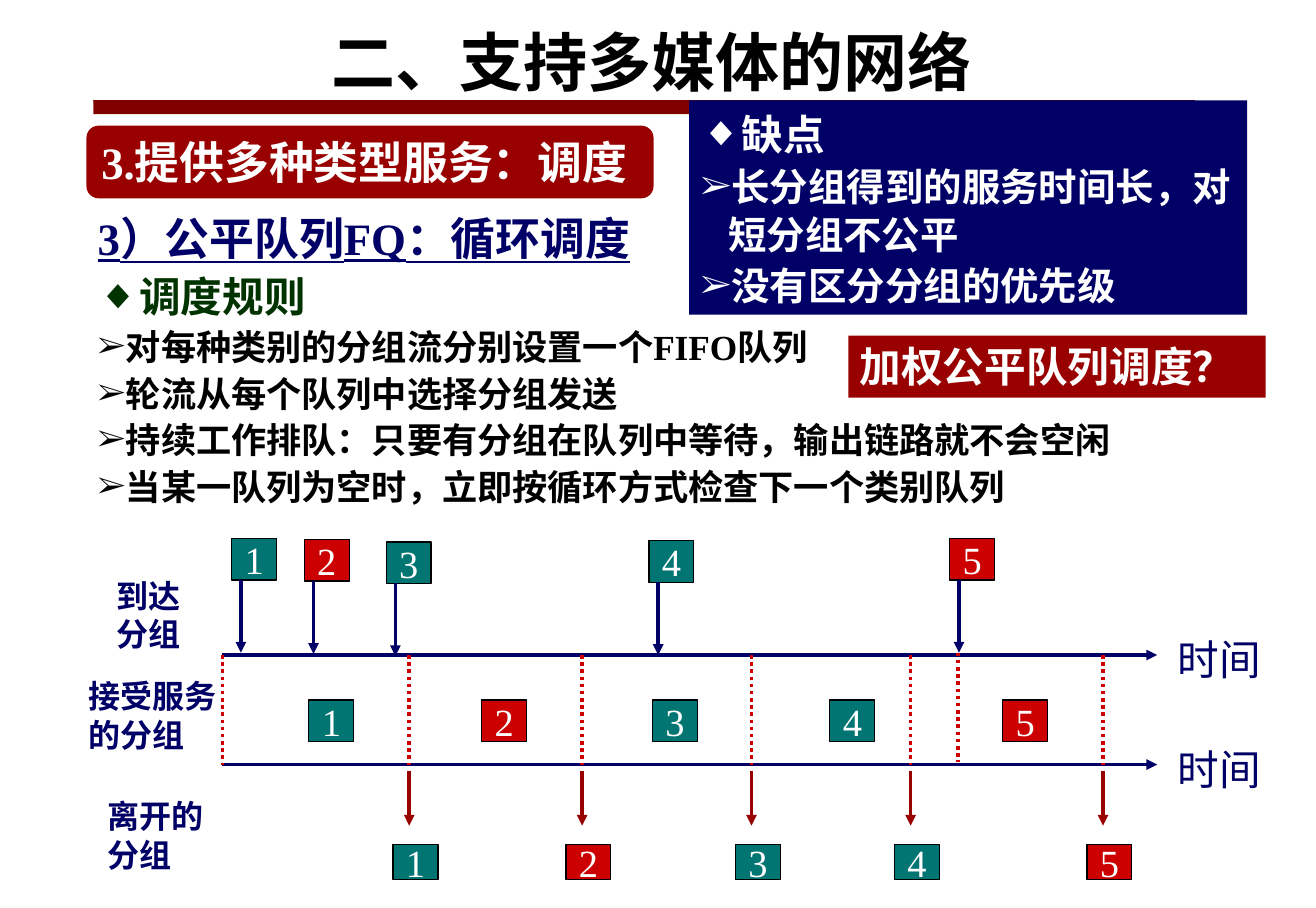
from lxml import etree
from pptx import Presentation
from pptx.dml.color import RGBColor
from pptx.enum.dml import MSO_LINE
from pptx.enum.shapes import MSO_CONNECTOR, MSO_SHAPE
from pptx.enum.text import MSO_ANCHOR, MSO_AUTO_SIZE, PP_ALIGN
from pptx.oxml.ns import qn
from pptx.util import Cm, Inches, Pt

RECT = MSO_SHAPE.RECTANGLE
ROUNDED = MSO_SHAPE.ROUNDED_RECTANGLE
STRAIGHT = MSO_CONNECTOR.STRAIGHT
DOTTED = MSO_LINE.ROUND_DOT
TOP, MIDDLE = MSO_ANCHOR.TOP, MSO_ANCHOR.MIDDLE
LEFT, CENTER = PP_ALIGN.LEFT, PP_ALIGN.CENTER
NO_FIT = MSO_AUTO_SIZE.NONE

NAVY, MAROON, RED, TEAL = "000066", "990000", "CC0000", "007572"
WHITE, BLACK, GREEN, BAR = "FFFFFF", "000000", "003300", "800000"
SERIF, SANS = "Times New Roman", "Arial"

ARRIVALS = [(1, 2.01, 4.67), (2, 2.64, 4.68), (3, 3.35, 4.7),
            (4, 5.63, 4.69), (5, 8.24, 4.67)]
SERVED = [2.68, 4.18, 5.66, 7.2, 8.7]
DEPARTURES = [3.55, 5.05, 6.52, 7.9, 9.57]
AXES = [5.68, 6.63]
AXIS_START, AXIS_END = 1.93, 10.04
PACKET_WIDTH, PACKET_HEIGHT = 0.39, 0.36
BULLET_SIZES = {"◆": "100000", "➢": "87000"}
RULES = ["对每种类别的分组流分别设置一个FIFO队列",
         "轮流从每个队列中选择分组发送",
         "持续工作排队：只要有分组在队列中等待，输出链路就不会空闲",
         "当某一队列为空时，立即按循环方式检查下一个类别队列"]
DRAWBACKS = ["长分组得到的服务时间长，对短分组不公平", "没有区分分组的优先级"]
ROW_LABELS = [("到达分组", 0.91, 4.95, 0.86), ("接受服务的分组", 0.67, 5.82, 1.49),
              ("离开的分组", 0.83, 6.86, 1.18)]


def rgb(value):
    return RGBColor.from_string(value)


def set_bullet(p, char, color):
    pPr = p._p.get_or_add_pPr()
    pPr.set("marL", str(Inches(0.24)))
    pPr.set("indent", str(-Inches(0.24)))
    clr = etree.SubElement(pPr, qn("a:buClr"))
    etree.SubElement(clr, qn("a:srgbClr")).set("val", color)
    etree.SubElement(pPr, qn("a:buSzPct")).set("val", BULLET_SIZES[char])
    etree.SubElement(pPr, qn("a:buFont")).set("typeface", SERIF)
    etree.SubElement(pPr, qn("a:buChar")).set("char", char)


def add_text(p, text, size, color, font=SERIF, bold=True, underline=False,
             align=LEFT, before=0, spacing=None, bullet=None):
    p.alignment = align
    p.space_before = Pt(before)
    if spacing:
        p.line_spacing = spacing
    if bullet:
        set_bullet(p, bullet, color)
    r = p.add_run()
    r.text = text
    r.font.size = Pt(size)
    r.font.name = font
    r.font.bold = bold
    r.font.underline = underline
    r.font.color.rgb = rgb(color)


def frame(sp, wrap=True, anchor=TOP):
    tf = sp.text_frame
    tf.auto_size = NO_FIT
    tf.word_wrap = wrap
    tf.vertical_anchor = anchor
    return tf


def add_label(s, text, x, y, w, h, size, color, **fmt):
    sp = s.shapes.add_textbox(Inches(x), Inches(y), Inches(w), Inches(h))
    add_text(frame(sp).paragraphs[0], text, size, color, **fmt)


def add_block(s, x, y, w, h, fill, kind=RECT, outline=None):
    sp = s.shapes.add_shape(kind, Inches(x), Inches(y), Inches(w), Inches(h))
    sp.shadow.inherit = False
    sp.fill.solid()
    sp.fill.fore_color.rgb = rgb(fill)
    if outline:
        sp.line.color.rgb = rgb(outline)
        sp.line.width = Pt(0.75)
    else:
        sp.line.fill.background()
    return sp


def add_line(s, x1, y1, x2, y2, color, width=2.25, dash=None, arrow=False):
    line = s.shapes.add_connector(STRAIGHT, Inches(x1), Inches(y1), Inches(x2), Inches(y2))
    line.line.color.rgb = rgb(color)
    line.line.width = Pt(width)
    if dash:
        line.line.dash_style = dash
    if arrow:
        ln = line._element.spPr.find(qn("a:ln"))
        etree.SubElement(ln, qn("a:tailEnd")).set("type", "triangle")
    etree.SubElement(line._element.spPr, qn("a:effectLst"))


def add_packet(s, number, x, y, h=PACKET_HEIGHT):
    fill = RED if number in (2, 5) else TEAL
    sp = add_block(s, x, y, PACKET_WIDTH, h, fill, outline=BLACK)
    p = frame(sp, wrap=False, anchor=MIDDLE).paragraphs[0]
    add_text(p, str(number), 24, WHITE, bold=False, align=CENTER)


def add_bullets(tf, heading, items, heading_color, item_color, size, before):
    add_text(tf.paragraphs[0], heading, 26, heading_color, before=1.6, spacing=1.05, bullet="◆")
    for item in items:
        add_text(tf.add_paragraph(), item, size, item_color,
                 before=before, spacing=1.05, bullet="➢")


def add_title(s):
    title = s.shapes.title
    title.left, title.top = Inches(0.6), Inches(-0.03)
    title.width, title.height = Inches(10.1), Inches(1.11)
    p = frame(title, anchor=MIDDLE).paragraphs[0]
    add_text(p, "二、支持多媒体的网络", 40, BLACK, align=CENTER)
    add_block(s, 0.81, 0.87, 5.59, 0.12, BAR)
    add_line(s, 0.81, 0.87, 10.37, 0.87, BAR, width=0.75)


def add_rules(s):
    add_label(s, "3）公平队列FQ：循环调度", 0.75, 1.73, 10.24, 0.62, 28, NAVY,
              underline=True, before=7, spacing=1.1)
    rules = s.shapes.add_textbox(Inches(0.75), Inches(2.28), Inches(10), Inches(2.17))
    add_bullets(frame(rules), "调度规则", RULES, GREEN, BLACK, 22, 1.4)


def add_timeline(s):
    for text, x, y, w in ROW_LABELS:
        add_label(s, text, x, y, w, 0.77, 20, NAVY, font=SANS, before=12.5)
    for y in AXES:
        add_line(s, AXIS_START, y, AXIS_END, y, NAVY, arrow=True)
        add_label(s, "时间", 10.12, y - 0.23, 1.3, 0.54, 26, NAVY,
                  font=SANS, bold=False, before=16.2)
    for number, x, y in ARRIVALS:
        add_packet(s, number, x, y)
        add_line(s, x + 0.08, y + PACKET_HEIGHT, x + 0.08, y + 0.99, NAVY, arrow=True)
    for x in [AXIS_START, *DEPARTURES]:
        add_line(s, x, AXES[0], x, AXES[1], RED, dash=DOTTED)
    add_line(s, 8.31, 5.66, 8.31, 6.61, RED, dash=DOTTED)
    for number, (served, left) in enumerate(zip(SERVED, DEPARTURES), 1):
        add_packet(s, number, served, 6.07)
        add_packet(s, number, left - 0.14, 7.32, h=0.31)
        add_line(s, left, 6.69, left, 7.16, MAROON, arrow=True)


def add_callouts(s):
    drawbacks = add_block(s, 5.98, 0.87, 4.84, 1.86, NAVY)
    add_bullets(frame(drawbacks), "缺点", DRAWBACKS, WHITE, WHITE, 24, 1.5)
    question = add_block(s, 7.36, 2.91, 3.62, 0.54, MAROON)
    add_text(frame(question).paragraphs[0], "加权公平队列调度？", 26, WHITE,
             font=SANS, before=16.2)
    section = add_block(s, 0.75, 1.09, 4.92, 0.63, MAROON, kind=ROUNDED)
    add_text(frame(section, wrap=False, anchor=MIDDLE).paragraphs[0],
             "3.提供多种类型服务：调度", 28, WHITE, before=17.5)


def main():
    prs = Presentation()
    prs.slide_width = Cm(29)
    prs.slide_height = Cm(20)
    s = prs.slides.add_slide(prs.slide_layouts[5])
    add_title(s)
    add_rules(s)
    add_timeline(s)
    add_callouts(s)
    prs.save("out.pptx")


if __name__ == "__main__":
    main()
